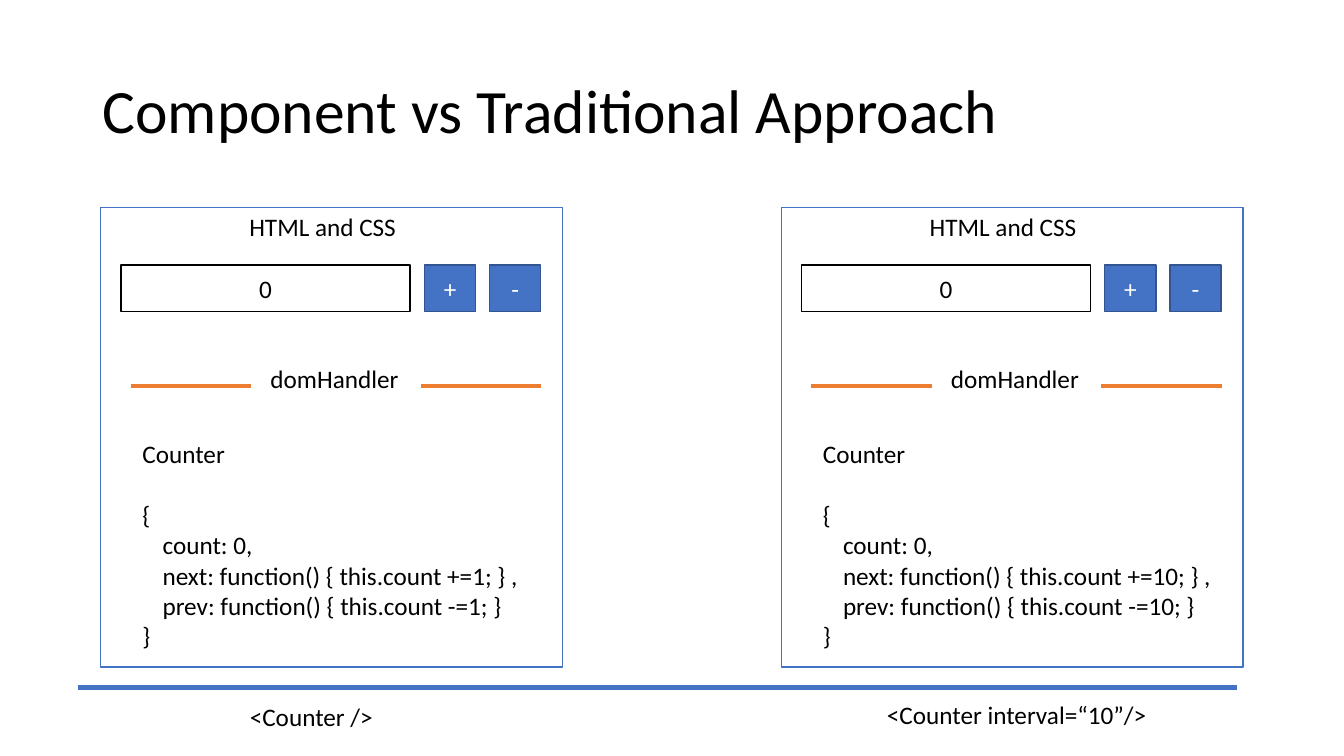
from lxml.etree import SubElement
from pptx import Presentation
from pptx.dml.color import RGBColor
from pptx.enum.shapes import MSO_CONNECTOR, MSO_SHAPE
from pptx.enum.text import MSO_ANCHOR, MSO_AUTO_SIZE, PP_ALIGN
from pptx.oxml.ns import qn
from pptx.util import Inches, Pt

# Content
TITLE = "Component vs Traditional Approach"
HEADING = "HTML and CSS"
HANDLER = "domHandler"
VALUE = "0"
BUTTONS = ["+", "-"]


def counter_code(step):
    return ["Counter", "{", "\tcount: 0,",
            f"\tnext: function() {{ this.count +={step}; }} ,",
            f"\tprev: function() {{ this.count -={step}; }}", "}"]


# Code, code width, tag, and the tag's left, top and width in grid units
PANELS = [
    (counter_code(1), 39.7, "<Counter />", (23.8, 69.1, 14.4)),
    (counter_code(10), 41, "<Counter interval=“10”/>", (87, 68.9, 28.1)),
]

# Colours
BLACK = RGBColor(0x00, 0x00, 0x00)
WHITE = RGBColor(0xFF, 0xFF, 0xFF)
BLUE = RGBColor(0x44, 0x72, 0xC4)
DARK_BLUE = RGBColor(0x32, 0x54, 0x91)
ORANGE = RGBColor(0xED, 0x7D, 0x31)

# Grid: square units of a tenth of an inch
UNIT = Inches(0.1)
PANEL_LEFT, PANEL_TOP, PANEL_PITCH = 10, 20.6, 67.5
PANEL_WIDTH, PANEL_HEIGHT = 45.8, 45.6
CONTROL_TOP, CONTROL_HEIGHT = 26.3, 4.6
BUTTON_LEFT, BUTTON_WIDTH, BUTTON_PITCH = 32.1, 5.1, 6.45
RULE_TOP, RULE_WIDTH, RULE_LEFTS = 38.3, 11.95, (3, 31.75)
LINE_HEIGHT = 4

deck = Presentation()
deck.slide_width, deck.slide_height = Inches(13.333), Inches(7.5)
page = deck.slides.add_slide(deck.slide_layouts[6])


def units(*lengths):
    return [round(length * UNIT) for length in lengths]


def write(para, text, color=BLACK, size=18):
    span = para.add_run()
    span.text = text
    span.font.name = "Calibri"
    span.font.size = Pt(size)
    span.font.color.rgb = color


def add_box(left, top, width, height, fill, line, text=None, color=BLACK):
    box = page.shapes.add_shape(MSO_SHAPE.RECTANGLE,
                                *units(left, top, width, height))
    box.shadow.inherit = False
    box.fill.solid()
    box.fill.fore_color.rgb = fill
    box.line.color.rgb = line
    box.line.width = Pt(1)
    if text:
        box.text_frame.vertical_anchor = MSO_ANCHOR.MIDDLE
        para = box.text_frame.paragraphs[0]
        para.alignment = PP_ALIGN.CENTER
        write(para, text, color)


def add_label(left, top, width, height, lines):
    box = page.shapes.add_textbox(*units(left, top, width, height))
    frame = box.text_frame
    frame.word_wrap = False
    frame.auto_size = MSO_AUTO_SIZE.SHAPE_TO_FIT_TEXT
    for number, line in enumerate(lines):
        para = frame.add_paragraph() if number else frame.paragraphs[0]
        if line.startswith("\t"):
            stops = SubElement(para._p.get_or_add_pPr(), qn("a:tabLst"))
            SubElement(stops, qn("a:tab"), pos=str(Inches(0.2)), algn="l")
        if line == "{":
            para.space_before = Pt(22)
        write(para, line)


def add_rule(left, top, width, color, weight):
    rule = page.shapes.add_connector(MSO_CONNECTOR.STRAIGHT,
                                     *units(left, top, left + width, top))
    rule.line.color.rgb = color
    rule.line.width = Pt(weight)
    SubElement(rule._element.spPr, qn("a:effectLst"))


# Title
title = page.shapes.add_textbox(*units(9.2, 4, 115, 14.5))
title.text_frame.word_wrap = True
title.text_frame.vertical_anchor = MSO_ANCHOR.MIDDLE
title.text_frame.paragraphs[0].line_spacing = 0.9
write(title.text_frame.paragraphs[0], TITLE, size=44)

# Panels with their component tags
for index, (code, code_width, tag, tag_place) in enumerate(PANELS):
    left = PANEL_LEFT + index * PANEL_PITCH
    add_box(left, PANEL_TOP, PANEL_WIDTH, PANEL_HEIGHT, WHITE, BLUE)
    add_label(left + 13.75, 20.5, 16.7, LINE_HEIGHT, [HEADING])

    # Counter value and buttons
    add_box(left + 2, CONTROL_TOP, 28.7, CONTROL_HEIGHT, WHITE, BLACK, VALUE)
    for place, sign in enumerate(BUTTONS):
        add_box(left + BUTTON_LEFT + place * BUTTON_PITCH, CONTROL_TOP,
                BUTTON_WIDTH, CONTROL_HEIGHT, BLUE, DARK_BLUE, sign, WHITE)

    # Handler between two rules, then the code
    for rule_left in RULE_LEFTS:
        add_rule(left + rule_left, RULE_TOP, RULE_WIDTH, ORANGE, 2.25)
    add_label(left + 15.85, 35.6, 14.9, LINE_HEIGHT, [HANDLER])
    add_label(left + 3.15, 43, code_width, 22.2, code)
    add_label(*tag_place, LINE_HEIGHT, [tag])

# Base line
add_rule(7.7, 68.2, 115, BLUE, 3)

deck.save("out.pptx")
